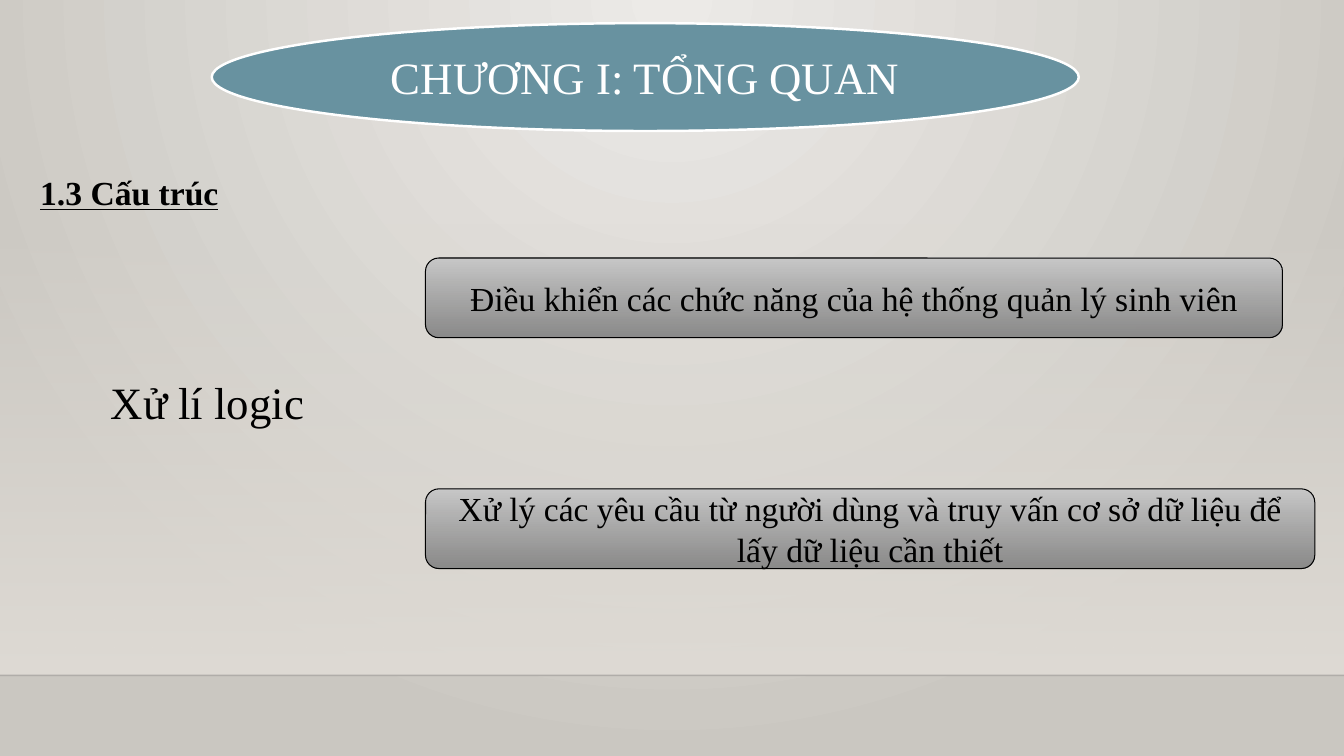
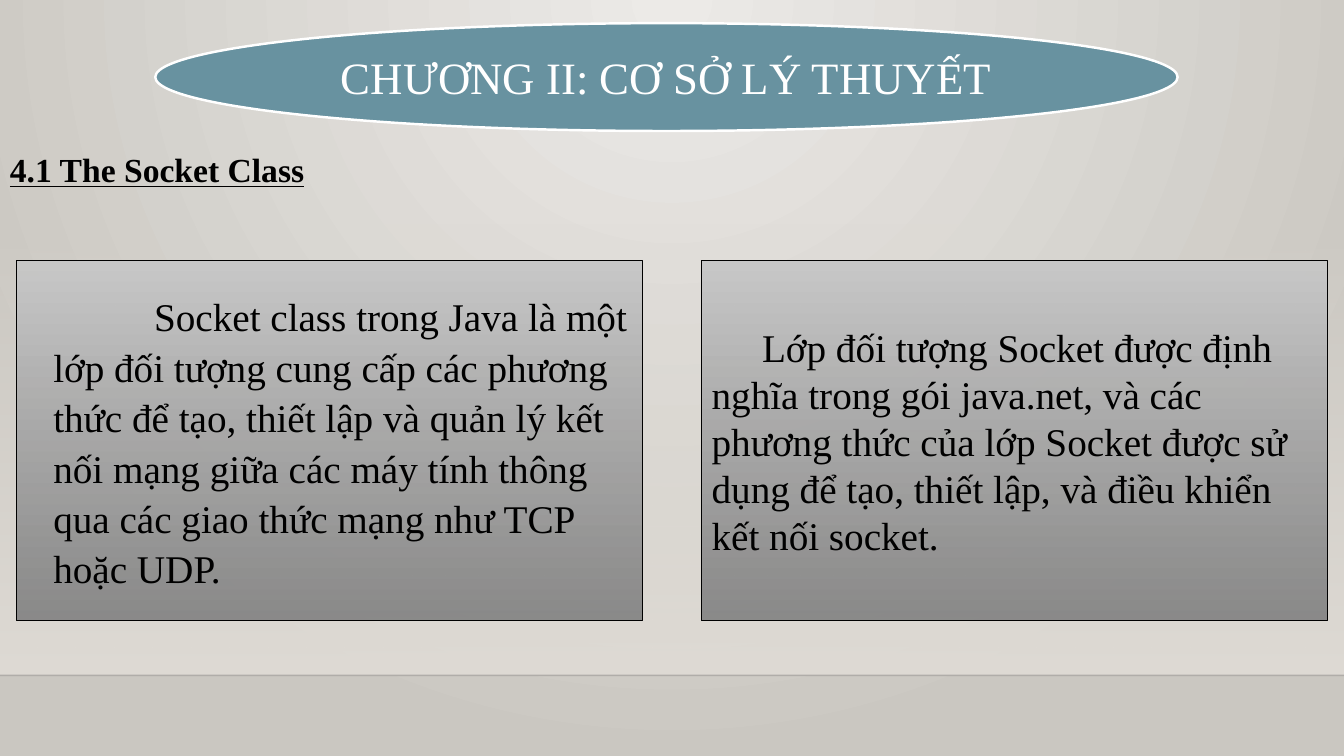
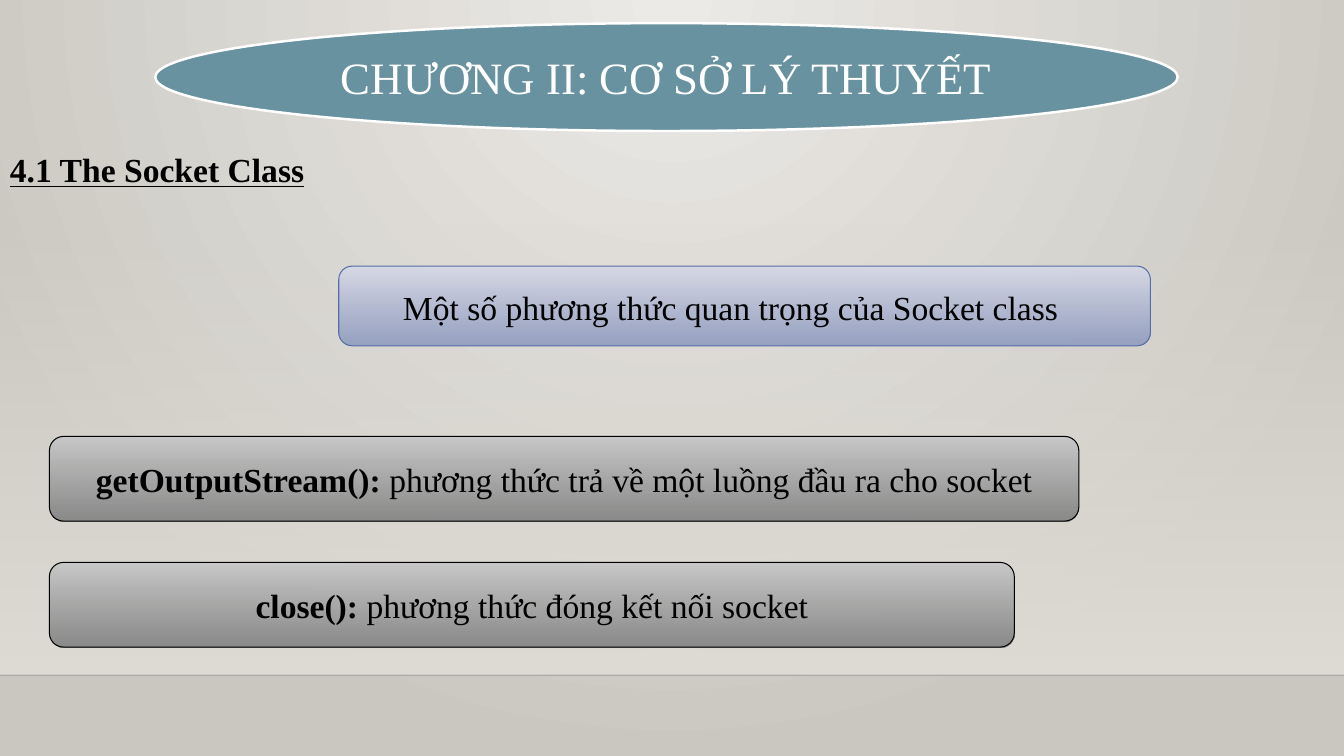
from lxml import etree
from pptx import Presentation
from pptx.dml.color import RGBColor
from pptx.enum.shapes import MSO_CONNECTOR, MSO_SHAPE
from pptx.enum.text import MSO_ANCHOR, MSO_AUTO_SIZE, PP_ALIGN
from pptx.oxml import parse_xml
from pptx.oxml.ns import nsdecls, qn
from pptx.util import Inches, Pt

ELLIPSE, RECT = MSO_SHAPE.OVAL, MSO_SHAPE.RECTANGLE
ROUND, PROCESS = MSO_SHAPE.ROUNDED_RECTANGLE, MSO_SHAPE.FLOWCHART_ALTERNATE_PROCESS
LEFT, CENTER = PP_ALIGN.LEFT, PP_ALIGN.CENTER
MIDDLE, GROW = MSO_ANCHOR.MIDDLE, MSO_AUTO_SIZE.SHAPE_TO_FIT_TEXT

FONT = "Times New Roman"
BLACK, WHITE, TEAL = "000000", "FFFFFF", "6892A0"
WIDTH, HEIGHT, FLOOR = 13.33, 7.5, 6.7
BACKGROUND = [("ECEAE7", 100), ("CAC7C1", 100)]
WALL = [("DFDBD5", 0), ("DFDBD5", 100)]
GREY = {"stops": [("C8C8C8", 100), ("848484", 92)], "line": BLACK}
BLUE = {"stops": [("D6D9E5", 100), ("929DC0", 92)], "line": "586EA6"}
DOWN = '<a:lin ang="5400000" scaled="0"/>'
FROM_TOP = '<a:path path="circle"><a:fillToRect l="43000" t="0" r="43000" b="100000"/></a:path>'
SPACED = {"line_spacing": 1.07, "space_before": Pt(12), "space_after": Pt(8)}
HEADING = {"size": 24, "bold": True, "underline": True}

SOCKET = {
    "title": ("CHƯƠNG II: CƠ SỞ LÝ THUYẾT", 1.54, 10.14),
    "labels": [("4.1 The Socket Class", (0, 1.43, 4.71, 0.5), HEADING, {})],
}
SLIDES = [
    {
        "title": ("CHƯƠNG I: TỔNG QUAN", 2.1, 8.6),
        "labels": [
            ("1.3 Cấu trúc", (0.3, 1.63, 2.27, 0.5), HEADING, SPACED),
            ("Xử lí logic", (1, 3.67, 2.67, 0.64), {"size": 32}, {}),
        ],
        "boxes": [
            {"kind": ROUND, "at": (4.22, 2.56, 8.5, 0.79),
             "text": "Điều khiển các chức năng của hệ thống quản lý sinh viên"},
            {"kind": ROUND, "at": (4.22, 4.85, 8.82, 0.79),
             "text": "Xử lý các yêu cầu từ người dùng và truy vấn cơ sở dữ liệu "
                     "để lấy dữ liệu cần thiết"},
        ],
    },
    {
        **SOCKET,
        "boxes": [
            {"kind": RECT, "at": (0.16, 2.58, 6.21, 3.58), "size": 28,
             "align": LEFT, "indent": (0.27, 1), "para": SPACED,
             "text": "Socket class trong Java là một lớp đối tượng cung cấp các phương "
                     "thức để tạo, thiết lập và quản lý kết nối mạng giữa các máy tính "
                     "thông qua các giao thức mạng như TCP hoặc UDP."},
            {"kind": RECT, "at": (6.96, 2.58, 6.21, 3.58), "size": 28,
             "align": LEFT, "indent": (0, 0.5),
             "text": "Lớp đối tượng Socket được định nghĩa trong gói java.net, và các "
                     "phương thức của lớp Socket được sử dụng để tạo, thiết lập, và "
                     "điều khiển kết nối socket."},
        ],
    },
    {
        **SOCKET,
        "boxes": [
            {"kind": PROCESS, "at": (3.36, 2.64, 8.05, 0.79), "look": BLUE,
             "align": LEFT, "indent": (0.27, 0.23), "para": SPACED,
             "text": "Một số phương thức quan trọng của Socket class"},
            {"kind": PROCESS, "at": (0.49, 4.33, 10.21, 0.84), "term": "getOutputStream(): ",
             "text": "phương thức trả về một luồng đầu ra cho socket"},
            {"kind": PROCESS, "at": (0.49, 5.58, 9.57, 0.84), "term": "close(): ",
             "text": "phương thức đóng kết nối socket"},
        ],
    },
]


def rgb(value):
    return RGBColor.from_string(value)


def inches(values):
    return [Inches(v) for v in values]


def set_gradient(fill, root, stops, direction):
    fill.gradient()
    old = root.find(".//" + qn("a:gradFill"))
    marks = "".join(
        f'<a:gs pos="{i * 100000}"><a:srgbClr val="{color}">'
        f'<a:alpha val="{alpha * 1000}"/></a:srgbClr></a:gs>'
        for i, (color, alpha) in enumerate(stops))
    old.getparent().replace(old, parse_xml(
        f'<a:gradFill {nsdecls("a")} rotWithShape="1"><a:gsLst>{marks}</a:gsLst>'
        f'{direction}</a:gradFill>'))


def add_run(p, text, size, color=BLACK, **style):
    r = p.add_run()
    r.text = text
    format_values = {"name": FONT, "size": Pt(size), **style}
    for name, value in format_values.items():
        setattr(r.font, name, value)
    r.font.color.rgb = rgb(color)


def format_paragraph(p, values):
    for name, value in values.items():
        setattr(p, name, value)


def add_shape(s, kind, at):
    sp = s.shapes.add_shape(kind, *inches(at))
    sp.shadow.inherit = False
    sp.text_frame.word_wrap = True
    sp.text_frame.vertical_anchor = MIDDLE
    return sp


def add_room(s):
    wall = add_shape(s, RECT, (0, 2.21, WIDTH, FLOOR - 2.21))
    set_gradient(wall.fill, wall.element, WALL, DOWN)
    wall.line.fill.background()
    edge = s.shapes.add_connector(MSO_CONNECTOR.STRAIGHT, *inches((0, FLOOR, WIDTH, FLOOR)))
    edge.line.width = Pt(1)
    edge.line.color.rgb = rgb("000001")
    color = edge.element.find(".//" + qn("a:srgbClr"))
    etree.SubElement(color, qn("a:alpha")).set("val", "20000")
    etree.SubElement(edge.element.spPr, qn("a:effectLst"))


def add_title(s, text, left, width):
    sp = add_shape(s, ELLIPSE, (left, 0.23, width, 1.07))
    sp.fill.solid()
    sp.fill.fore_color.rgb = rgb(TEAL)
    sp.line.color.rgb = rgb(WHITE)
    sp.line.width = Pt(1.75)
    p = sp.text_frame.paragraphs[0]
    p.alignment = CENTER
    add_run(p, text, 32, WHITE)


def add_label(s, text, at, style, para):
    tf = s.shapes.add_textbox(*inches(at)).text_frame
    tf.word_wrap = True
    tf.auto_size = GROW
    p = tf.paragraphs[0]
    format_paragraph(p, para)
    add_run(p, text, **style)


def add_box(s, kind, at, text, term="", look=GREY, size=24, align=CENTER,
            indent=(0, 0), para=None):
    sp = add_shape(s, kind, at)
    set_gradient(sp.fill, sp.element, look["stops"], DOWN)
    sp.line.color.rgb = rgb(look["line"])
    sp.line.width = Pt(0.75)
    p = sp.text_frame.paragraphs[0]
    format_paragraph(p, {"alignment": align, **(para or {})})
    pPr = p._p.get_or_add_pPr()
    for name, value in zip(("marL", "indent"), indent):
        pPr.set(name, str(Inches(value)))
    if term:
        add_run(p, term, size, bold=True)
    add_run(p, text, size)


def main():
    prs = Presentation()
    prs.slide_width, prs.slide_height = inches((WIDTH, HEIGHT))
    master = prs.slide_master
    set_gradient(master.background.fill, master.element, BACKGROUND, FROM_TOP)
    for content in SLIDES:
        s = prs.slides.add_slide(prs.slide_layouts[6])
        add_room(s)
        add_title(s, *content["title"])
        for label in content["labels"]:
            add_label(s, *label)
        for box in content["boxes"]:
            add_box(s, **box)
    prs.save("out.pptx")


if __name__ == "__main__":
    main()
